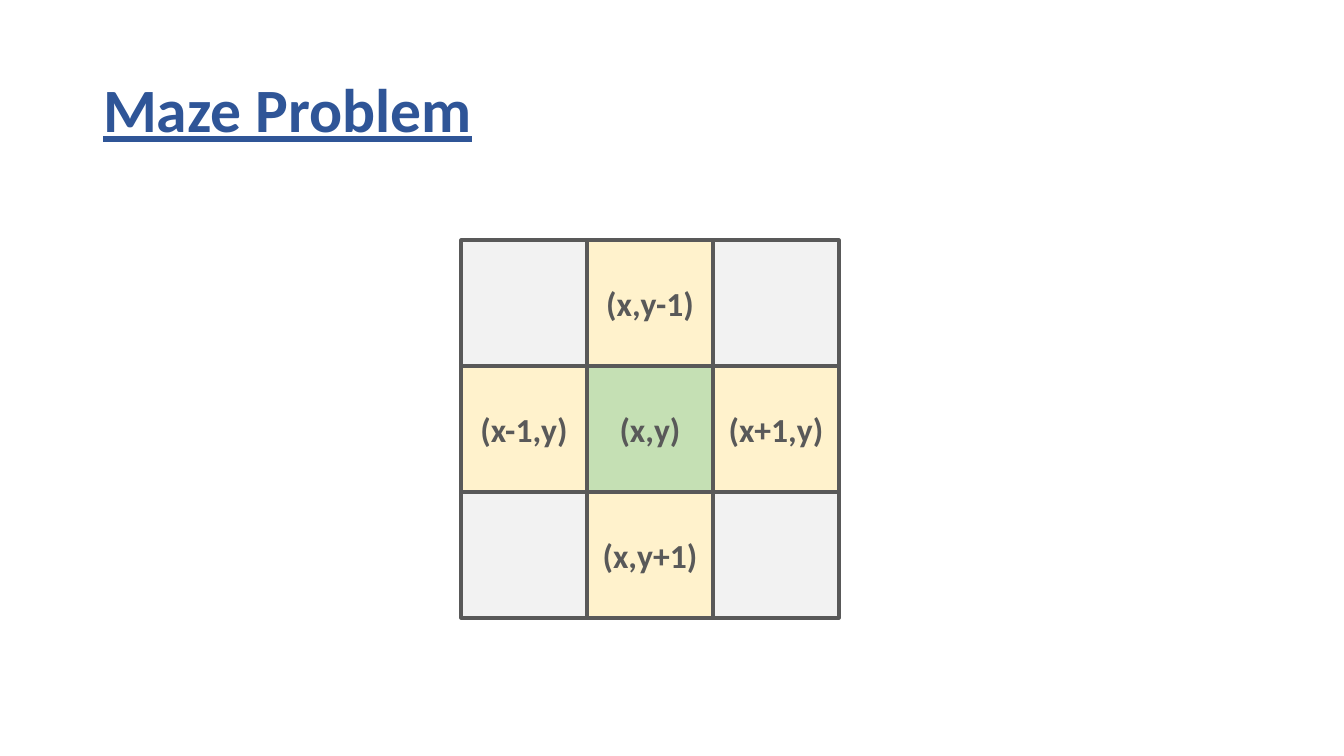
from dataclasses import dataclass

from pptx import Presentation
from pptx import util as u
from pptx.dml.color import RGBColor
from pptx.enum import shapes, text

EMU_PER_PIXEL = 914400 / 100.8


@dataclass(frozen=True)
class Theme:
    font: str = "Calibri"
    heading: str = "2F5597"
    ink: str = "595959"
    corner: str = "F2F2F2"
    neighbour: str = "FFF2CC"
    current: str = "C5E0B4"
    heading_size: int = 44
    label_size: int = 24
    border_width: float = 2.25


@dataclass(frozen=True)
class Cell:
    column: int
    row: int
    label: str
    fill: str


THEME = Theme()
CELL_SIDE = 126
MAZE_LEFT, MAZE_TOP = 461, 240

LABELS = (
    ("", "(x,y-1)", ""),
    ("(x-1,y)", "(x,y)", "(x+1,y)"),
    ("", "(x,y+1)", ""),
)
FILL_BY_DISTANCE = (THEME.current, THEME.neighbour, THEME.corner)


def px(length: int) -> int:
    return round(length * EMU_PER_PIXEL)


def write(frame, wording: str, *, size: int, color: str, align,
          underline: bool = False, line_spacing: float = 1.0) -> None:
    frame.word_wrap = True
    frame.auto_size = text.MSO_AUTO_SIZE.NONE
    frame.vertical_anchor = text.MSO_ANCHOR.MIDDLE
    paragraph = frame.paragraphs[0]
    paragraph.alignment = align
    paragraph.line_spacing = line_spacing
    run = paragraph.add_run()
    run.text = wording
    run.font.name = THEME.font
    run.font.size = u.Pt(size)
    run.font.bold = True
    run.font.underline = underline
    run.font.color.rgb = RGBColor.from_string(color)


def draw_cell(slide, cell: Cell) -> None:
    square = slide.shapes.add_shape(
        shapes.MSO_SHAPE.RECTANGLE,
        px(MAZE_LEFT + cell.column * CELL_SIDE),
        px(MAZE_TOP + cell.row * CELL_SIDE),
        px(CELL_SIDE), px(CELL_SIDE))
    square.shadow.inherit = False
    square.fill.solid()
    square.fill.fore_color.rgb = RGBColor.from_string(cell.fill)
    square.line.color.rgb = RGBColor.from_string(THEME.ink)
    square.line.width = u.Pt(THEME.border_width)
    if cell.label:
        write(square.text_frame, cell.label, size=THEME.label_size,
              color=THEME.ink, align=text.PP_ALIGN.CENTER)


def draw_heading(slide, wording: str) -> None:
    heading = slide.shapes.title
    heading.left, heading.top = px(93), px(40)
    heading.width, heading.height = px(1159), px(146)
    write(heading.text_frame, wording, size=THEME.heading_size,
          color=THEME.heading, align=text.PP_ALIGN.LEFT,
          underline=True, line_spacing=0.9)


deck = Presentation()
deck.slide_width, deck.slide_height = px(1344), px(756)
maze_slide = deck.slides.add_slide(deck.slide_layouts[5])
draw_heading(maze_slide, "Maze Problem")

for row, labels in enumerate(LABELS):
    for column, label in enumerate(labels):
        distance = abs(row - 1) + abs(column - 1)
        draw_cell(maze_slide, Cell(column, row, label, FILL_BY_DISTANCE[distance]))

deck.save("out.pptx")
